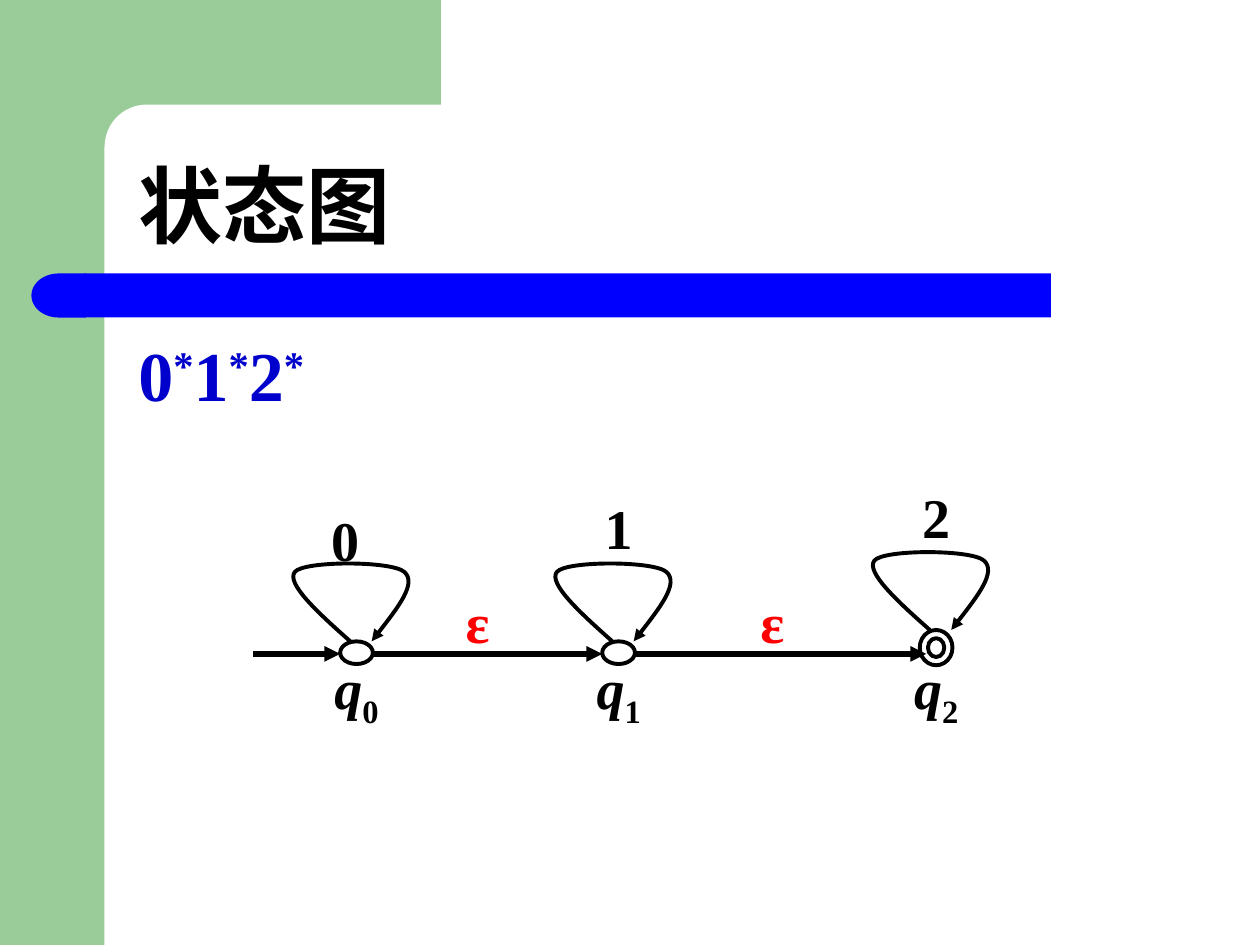
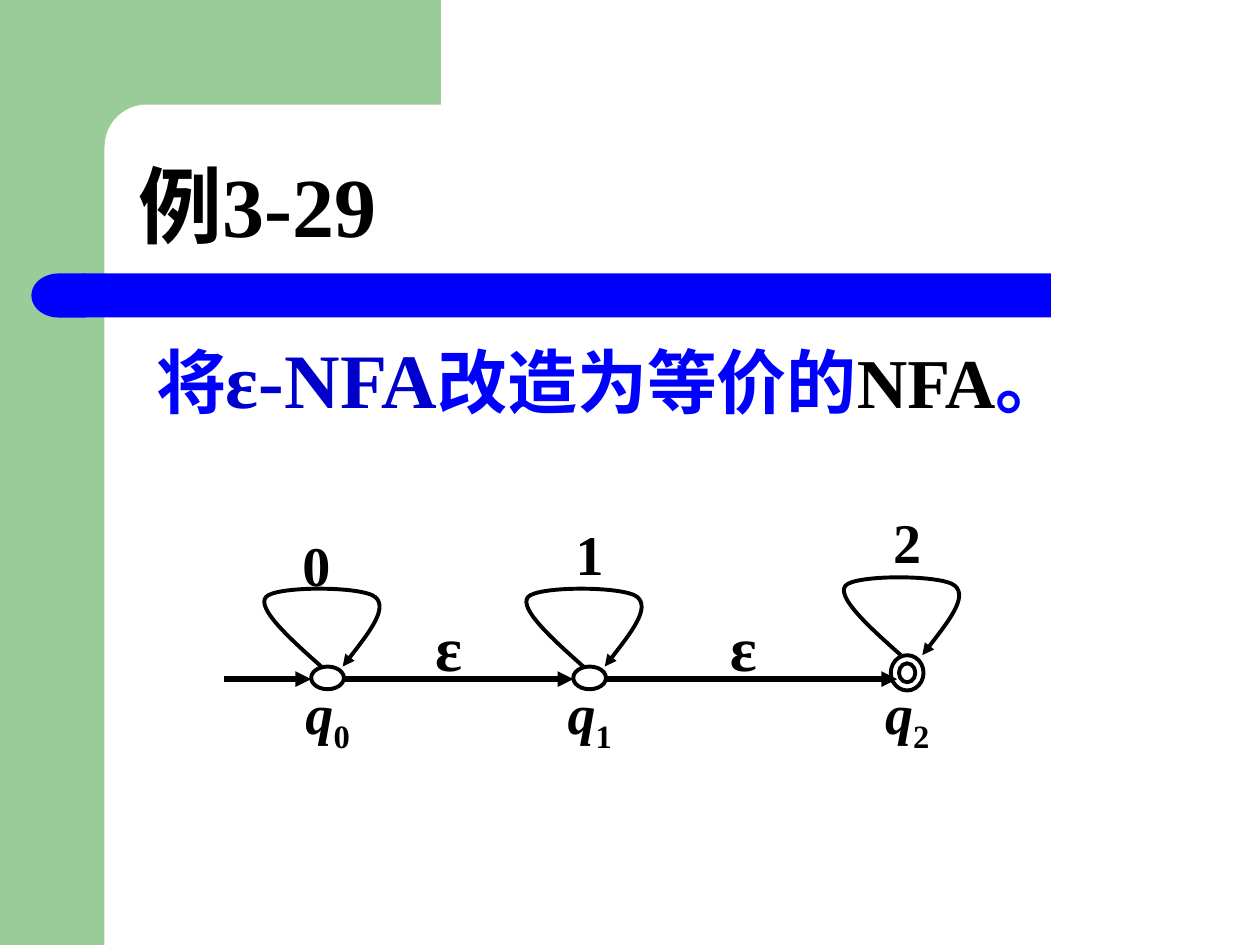
from lxml import etree
from pptx import Presentation
from pptx.dml.color import RGBColor
from pptx.enum.shapes import MSO_CONNECTOR, MSO_SHAPE
from pptx.enum.text import MSO_ANCHOR, MSO_AUTO_SIZE, PP_ALIGN
from pptx.oxml.ns import qn
from pptx.util import Inches, Pt

RECT, ROUND_RECT = MSO_SHAPE.RECTANGLE, MSO_SHAPE.ROUNDED_RECTANGLE
DELAY, OVAL, DONUT = MSO_SHAPE.FLOWCHART_DELAY, MSO_SHAPE.OVAL, MSO_SHAPE.DONUT
STRAIGHT = MSO_CONNECTOR.STRAIGHT
TOP, MIDDLE, BOTTOM = MSO_ANCHOR.TOP, MSO_ANCHOR.MIDDLE, MSO_ANCHOR.BOTTOM
LEFT, CENTER = PP_ALIGN.LEFT, PP_ALIGN.CENTER
NO_AUTOFIT = MSO_AUTO_SIZE.NONE

FONT = "Times New Roman"
COLORS = {"green": "99CC99", "white": "FFFFFF", "blue": "0000FF",
          "navy": "0000CC", "red": "FF0000", "black": "000000"}

# Horizontal places are measured from the start of the incoming arrow.
# state left, rise of its top above the axis, symbol centre, symbol gap
STATES = [(0.69, 0.10, 0.73, 1.08), (2.77, 0.10, 2.90, 1.17), (5.29, 0.19, 5.42, 1.17)]
ARROWS = [(0, 0.69), (0.95, 2.77), (3.04, 5.34)]
EPSILON_CENTERS = [1.78, 4.12]
STATE_WIDTH = 0.26
# start point and three cubic segments, measured from the top left of a state
LOOP = [(0.08, 0), (-0.18, -0.23), (-0.43, -0.46), (-0.36, -0.55),
        (-0.29, -0.64), (0.41, -0.64), (0.51, -0.55),
        (0.61, -0.46), (0.43, -0.23), (0.25, 0)]


def rgb(name):
    return RGBColor.from_string(COLORS[name])


def add_run(p, text, size, color="black", italic=False, baseline=0):
    r = p.add_run()
    r.text = text
    f = r.font
    f.name, f.size, f.bold, f.italic = FONT, Pt(size), True, italic
    f.color.rgb = rgb(color)
    if baseline:
        r._r.get_or_add_rPr().set("baseline", str(baseline * 1000))


def add_band(s, kind, x, y, w, h, color):
    sp = s.shapes.add_shape(kind, Inches(x), Inches(y), Inches(w), Inches(h))
    sp.shadow.inherit = False
    sp.fill.solid()
    sp.fill.fore_color.rgb = rgb(color)
    sp.line.fill.background()
    return sp


def move_bands_to_layout(s, layout):
    """Draw the green frame and blue bar once, behind every slide of the layout."""
    bands = [
        add_band(s, RECT, 0, 0, 0.83, 7.5, "green"),
        add_band(s, RECT, 0.75, 0, 2.75, 1.17, "green"),
        add_band(s, ROUND_RECT, 0.83, 0.83, 5.58, 0.67, "white"),
        add_band(s, RECT, 0.67, 2.17, 7.67, 0.35, "blue"),
        add_band(s, DELAY, 0.25, 2.17, 0.43, 0.35, "blue"),
    ]
    bands[2].adjustments[0] = 0.5
    bands[4]._element.spPr.find(qn("a:xfrm")).set("flipH", "1")
    for i, sp in enumerate(bands):
        sp._element.nvSpPr.cNvPr.set("id", str(20 + i))
        layout.shapes._spTree.insert(2 + i, sp._element)


def set_title(s, text):
    sp = s.shapes.title
    sp.left, sp.top, sp.width, sp.height = Inches(1), Inches(0.83), Inches(8.75), Inches(1.25)
    tf = sp.text_frame
    tf.auto_size, tf.vertical_anchor = NO_AUTOFIT, BOTTOM
    p = tf.paragraphs[0]
    p.alignment, p.line_spacing = LEFT, 0.9
    add_run(p, text, 48)


def add_text_box(s, x, y, w, h, anchor, align):
    """Add a wrapping text box and return its first paragraph and frame."""
    tf = s.shapes.add_textbox(Inches(x), Inches(y), Inches(w), Inches(h)).text_frame
    tf.word_wrap, tf.auto_size, tf.vertical_anchor = True, NO_AUTOFIT, anchor
    p = tf.paragraphs[0]
    p.alignment = align
    return p, tf


def add_statement(s, runs, first_line=0):
    p, _ = add_text_box(s, 1, 2.58, 8.75, 4.08, TOP, LEFT)
    pPr = p._p.get_or_add_pPr()
    pPr.set("marL", str(Inches(0.38)))
    pPr.set("indent", str(Inches(first_line - 0.38)))
    for text, size, color, baseline in runs:
        add_run(p, text, size, color, baseline=baseline)


def add_label(s, center, y, text, size=32, color="black", subscript=""):
    w = 0.61
    p, tf = add_text_box(s, center - w / 2, y, w, size / 60, MIDDLE, CENTER)
    tf.margin_left = tf.margin_right = tf.margin_top = tf.margin_bottom = 0
    add_run(p, text, size, color, italic=bool(subscript))
    if subscript:
        add_run(p, subscript, size, color, baseline=-25)


def style_line(sp, width, arrow=False):
    sp.line.color.rgb = rgb("black")
    sp.line.width = Pt(width)
    if arrow:
        etree.SubElement(sp.line._get_or_add_ln(), qn("a:tailEnd"), type="triangle")


def add_arrow(s, x1, x2, y):
    cxn = s.shapes.add_connector(STRAIGHT, Inches(x1), Inches(y), Inches(x2), Inches(y))
    style_line(cxn, 3, arrow=True)
    etree.SubElement(cxn._element.spPr, qn("a:effectLst"))


def add_state(s, x, y, final):
    kind, h = (DONUT, 0.28) if final else (OVAL, 0.18)
    sp = s.shapes.add_shape(kind, Inches(x), Inches(y), Inches(STATE_WIDTH), Inches(h))
    sp.shadow.inherit = False
    sp.fill.background()
    style_line(sp, 2.25)


def add_loop(s, x, y):
    """Draw the control points as a freeform, then turn each three into a curve."""
    points = [(Inches(x + dx), Inches(y + dy)) for dx, dy in LOOP]
    builder = s.shapes.build_freeform(*points[0])
    builder.add_line_segments(points[1:], close=False)
    sp = builder.convert_to_shape()
    sp.shadow.inherit = False
    sp.fill.background()
    style_line(sp, 2.25, arrow=True)
    outline = next(sp._element.iter(qn("a:path")))
    lines = outline.findall(qn("a:lnTo"))
    for i in range(0, len(lines), 3):
        curve = etree.SubElement(outline, qn("a:cubicBezTo"))
        for line in lines[i:i + 3]:
            curve.append(line[0])
            outline.remove(line)


def add_state_diagram(s, left, axis, epsilon_size, epsilon_color):
    for start, end in ARROWS:
        add_arrow(s, left + start, left + end, axis)
    for i, (dx, rise, symbol_x, symbol_gap) in enumerate(STATES):
        x, y = left + dx, axis - rise
        add_state(s, x, y, final=i == len(STATES) - 1)
        add_loop(s, x, y)
        add_label(s, x + STATE_WIDTH / 2, axis + 0.03, "q", subscript=str(i))
        add_label(s, left + symbol_x, y - symbol_gap, str(i))
    for center in EPSILON_CENTERS:
        y = axis - 0.26 - epsilon_size / 120
        add_label(s, left + center, y, "ε", epsilon_size, epsilon_color)


def main():
    prs = Presentation()
    prs.slide_width, prs.slide_height = Inches(10), Inches(7.5)
    layout = prs.slide_layouts[5]

    s = prs.slides.add_slide(layout)
    move_bands_to_layout(s, layout)
    set_title(s, "状态图")
    runs = []
    for digit in "012":
        runs += [(digit, 40, "navy", 0), ("*", 40, "navy", 30)]
    add_statement(s, runs)
    add_state_diagram(s, 2.01, 5.19, 32, "red")

    s = prs.slides.add_slide(layout)
    set_title(s, "例3-29")
    add_statement(s, [("将", 40, "blue", 0), ("ε-NFA", 44, "navy", 0),
                      ("改造为等价的", 40, "blue", 0), ("NFA", 40, "black", 0),
                      ("。", 40, "blue", 0)], first_line=0.14)
    add_state_diagram(s, 1.78, 5.39, 36, "black")

    prs.save("out.pptx")


if __name__ == "__main__":
    main()
